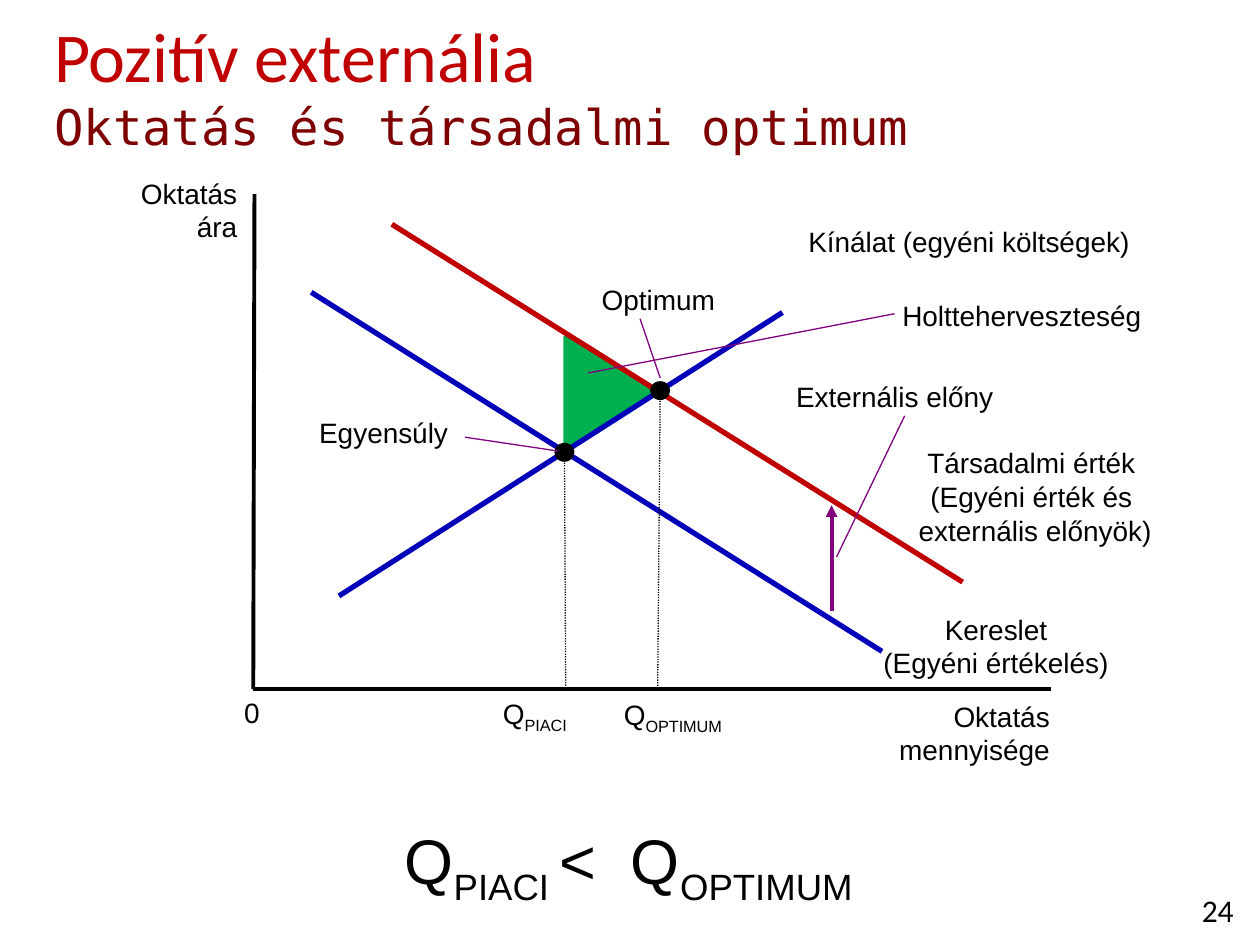
from lxml import etree
from pptx import Presentation
from pptx.dml.color import RGBColor
from pptx.enum.dml import MSO_LINE
from pptx.enum.shapes import MSO_CONNECTOR, MSO_SHAPE
from pptx.enum.text import MSO_ANCHOR, PP_ALIGN
from pptx.oxml.ns import qn
from pptx.util import Inches, Pt

BLACK = RGBColor(0x00, 0x00, 0x00)
WHITE = RGBColor(0xFF, 0xFF, 0xFF)
RED = RGBColor(0xC0, 0x00, 0x00)
DARK_RED = RGBColor(0x7E, 0x00, 0x00)
BLUE = RGBColor(0x00, 0x00, 0xB8)
GREEN = RGBColor(0x00, 0xB0, 0x50)
PURPLE = RGBColor(0x80, 0x00, 0x80)

LEFT, CENTER, RIGHT = PP_ALIGN.LEFT, PP_ALIGN.CENTER, PP_ALIGN.RIGHT
TOP, MIDDLE = MSO_ANCHOR.TOP, MSO_ANCHOR.MIDDLE
STRAIGHT = MSO_CONNECTOR.STRAIGHT
DOTTED = MSO_LINE.ROUND_DOT
RECTANGLE, TRIANGLE, OVAL = (
    MSO_SHAPE.RECTANGLE, MSO_SHAPE.ISOSCELES_TRIANGLE, MSO_SHAPE.OVAL)

# Graph geometry
ORIGIN = (2.01, 5.47)
EQUILIBRIUM = (4.48, 3.59)
OPTIMUM = (5.24, 3.1)
DOT_W, DOT_H = 0.16, 0.15

# Subscripted quantities, as (text, is subscript)
Q_MARKET = [("Q", False), ("PIACI", True)]
Q_OPTIMUM = [("Q", False), ("OPTIMUM", True)]
INEQUALITY = [("Q", False), ("PIACI ", True), ("<  Q", False), ("OPTIMUM", True)]


def add_run(p, text, size=16, name="Arial", color=BLACK, subscript=False):
    """Add text to a paragraph; a newline becomes a line break of the same size."""
    for i, line in enumerate(text.split("\n")):
        if i:
            p.add_line_break()
            br = p._p.findall(qn("a:br"))[-1]
            etree.SubElement(br, qn("a:rPr"), sz=str(size * 100))
        if not line:
            continue
        r = p.add_run()
        r.text = line
        for key, value in {"size": Pt(size), "name": name}.items():
            setattr(r.font, key, value)
        r.font.color.rgb = color
        if subscript:
            r.font._element.set("baseline", "-25000")


def add_label(s, box, paragraphs, align=CENTER, wrap=False, anchor=TOP, **fmt):
    """Add a text box; a paragraph is a string or a list of (text, subscript)."""
    tf = s.shapes.add_textbox(*map(Inches, box)).text_frame
    for key, value in {"word_wrap": wrap, "vertical_anchor": anchor}.items():
        setattr(tf, key, value)
    for i, parts in enumerate(paragraphs):
        p = tf.add_paragraph() if i else tf.paragraphs[0]
        p.alignment = align
        if isinstance(parts, str):
            parts = [(parts, False)]
        for text, subscript in parts:
            add_run(p, text, subscript=subscript, **fmt)


def add_line(s, start, end, color=BLACK, width=0.75, dash=None, arrow=False):
    sp = s.shapes.add_connector(STRAIGHT, *map(Inches, (*start, *end)))
    sp.line.color.rgb = color
    sp.line.width = Pt(width)
    if dash is not None:
        sp.line.dash_style = dash
    if arrow:
        etree.SubElement(sp.line._get_or_add_ln(), qn("a:tailEnd"), type="triangle")
    etree.SubElement(sp._element.spPr, qn("a:effectLst"))


def add_area(s, kind, box, color, line_width=None, rotation=0):
    sp = s.shapes.add_shape(kind, *map(Inches, box))
    sp.shadow.inherit = False
    sp.rotation = rotation
    sp.fill.solid()
    sp.fill.fore_color.rgb = color
    if line_width is None:
        sp.line.fill.background()
    else:
        sp.line.color.rgb = color
        sp.line.width = Pt(line_width)


def add_dot(s, center):
    x, y = center
    add_area(s, OVAL, (x - DOT_W / 2, y - DOT_H / 2, DOT_W, DOT_H), BLACK)


def add_title(s):
    sp = s.shapes.title
    box = {"left": 0.33, "top": 0.05, "width": 9.67, "height": 0.58}
    for key, value in box.items():
        setattr(sp, key, Inches(value))
    tf = sp.text_frame
    tf.vertical_anchor = TOP
    p = tf.paragraphs[0]
    p.alignment = LEFT
    add_run(p, "Pozitív externália\n", 40, "Calibri", RED)
    add_run(p, "Oktatás és társadalmi optimum", 28, "DejaVu Sans Mono", DARK_RED)


def add_axes(s):
    add_line(s, (2.02, 1.54), ORIGIN, width=2.25)
    add_line(s, ORIGIN, (8.34, ORIGIN[1]), width=2.25)
    add_label(s, (0.69, 1.35, 1.29, 0.64), ["Oktatás ára"], RIGHT, wrap=True)
    add_label(s, (6.95, 5.5, 1.48, 0.64), ["Oktatás mennyisége"], RIGHT, wrap=True)
    add_label(s, (1.84, 5.47, 0.33, 0.37), ["0"], LEFT)


def add_curves(s):
    # Private demand, supply and social value
    add_line(s, (2.47, 2.32), (7, 5.17), BLUE, 3)
    add_line(s, (2.69, 4.73), (6.21, 2.48), BLUE, 3)
    add_line(s, (3.11, 1.78), (7.64, 4.62), RED, 3)
    add_label(s, (6.9, 4.81, 2.01, 0.64), ["Kereslet", "(Egyéni értékelés)"])
    add_label(s, (6.3, 1.73, 2.78, 0.37), ["Kínálat (egyéni költségek)"])
    add_label(s, (7.12, 3.49, 2.13, 0.91),
              ["Társadalmi érték\n(Egyéni érték és\n externális előnyök)"])


def add_quantities(s):
    add_line(s, EQUILIBRIUM, (4.49, ORIGIN[1]), dash=DOTTED)
    add_line(s, OPTIMUM, (5.22, ORIGIN[1]), dash=DOTTED)
    add_label(s, (3.86, 5.48, 0.77, 0.37), [Q_MARKET])
    add_label(s, (4.8, 5.49, 1.08, 0.37), [Q_OPTIMUM])
    add_dot(s, EQUILIBRIUM)
    add_dot(s, OPTIMUM)


def add_callouts(s):
    # Label box, text, leader start and end
    callouts = [
        ((2.43, 3.25, 1.23, 0.37), "Egyensúly", (3.69, 3.47), (4.43, 3.58)),
        ((6.21, 2.96, 1.78, 0.37), "Externális előny", (7.18, 3.3), (6.64, 4.42)),
        ((4.67, 2.19, 1.11, 0.37), "Optimum", (5.08, 2.53), (5.24, 3)),
        ((6.89, 2.32, 2.44, 0.37), "Holtteherveszteség", (7.1, 2.49), (4.67, 2.96)),
    ]
    for box, text, start, end in callouts:
        add_label(s, box, [text])
        add_line(s, start, end, PURPLE)
    # Size of the external benefit
    add_line(s, (6.6, 4.85), (6.6, 4.01), PURPLE, 2.25, arrow=True)


def main():
    prs = Presentation()
    prs.slide_width, prs.slide_height = Inches(10), Inches(7.5)
    s = prs.slides.add_slide(prs.slide_layouts[5])
    add_title(s)

    # Plot background and deadweight loss
    add_area(s, RECTANGLE, (2.02, 1.62, 6.36, 3.83), WHITE, 2)
    add_area(s, TRIANGLE, (4.39, 2.77, 0.9, 0.71), GREEN, 2, rotation=90)

    add_axes(s)
    add_curves(s)
    add_quantities(s)
    add_callouts(s)

    # Conclusion and page number
    add_label(s, (0.39, 6.47, 9.2, 0.71), [INEQUALITY], wrap=True, size=36)
    add_label(s, (9.33, 7.02, 0.67, 0.4), ["24"], wrap=True, anchor=MIDDLE,
              size=18, name="Calibri")
    prs.save("out.pptx")


if __name__ == "__main__":
    main()
